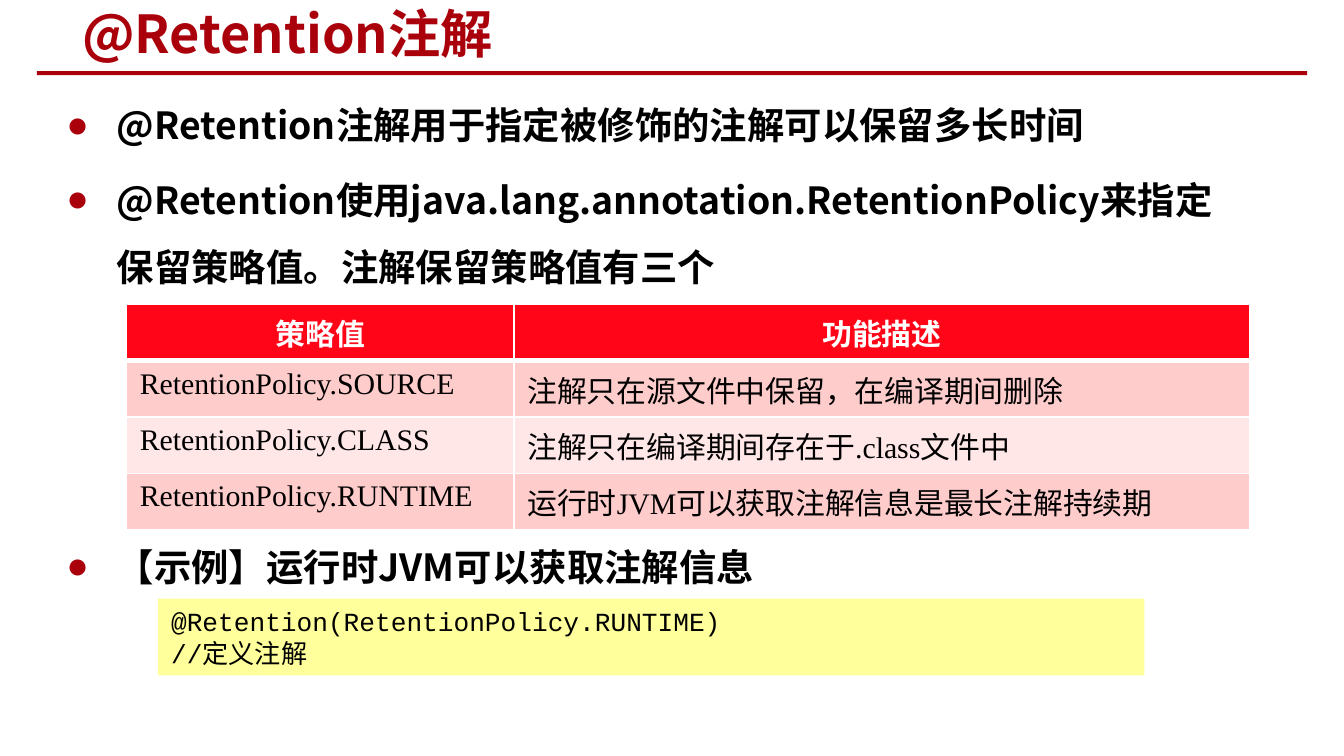
"""Build the slide that explains the @Retention annotation and its policies."""
import dataclasses

import lxml.etree
import pptx
import pptx.dml.color
import pptx.enum.shapes
import pptx.enum.text
import pptx.oxml.ns
import pptx.util

PX = 4572


@dataclasses.dataclass(frozen=True)
class Theme:
    accent: str = "AA000B"
    ink: str = "000000"
    paper: str = "FFFFFF"
    header: str = "FF0517"
    bands: tuple = ("FFCCCC", "FFE7E8")
    code_fill: str = "FFFF9B"
    heading_font: str = "Noto Sans CJK SC"
    header_font: str = "Calibri"
    cell_font: str = "Times New Roman"
    code_font: str = "Courier New"
    title_size: int = 28
    body_size: int = 20
    table_size: int = 16
    code_size: int = 14


class SlideBuilder:
    def __init__(self, slide, theme):
        self.slide = slide
        self.theme = theme

    def box(self, *lengths):
        return [pptx.util.Emu(length * PX) for length in lengths]

    def rgb(self, color):
        return pptx.dml.color.RGBColor.from_string(color)

    def child(self, parent, tag, **attributes):
        return lxml.etree.SubElement(parent, pptx.oxml.ns.qn(tag), attributes)

    def format_runs(self, frame, font, size, color, bold=False):
        for paragraph in frame.paragraphs:
            for run in paragraph.runs:
                run.font.name = font
                run.font.size = pptx.util.Pt(size)
                run.font.bold = bold
                run.font.color.rgb = self.rgb(color)
                self.child(run.font._element, "a:ea", typeface=self.theme.heading_font)

    def bar(self, left, top, width, height, color):
        bar = self.slide.shapes.add_shape(
            pptx.enum.shapes.MSO_SHAPE.RECTANGLE, *self.box(left, top, width, height))
        bar.shadow.inherit = False
        bar.fill.solid()
        bar.fill.fore_color.rgb = self.rgb(color)
        bar.line.fill.background()
        return bar

    def text(self, left, top, width, height, words, size, color):
        frame = self.slide.shapes.add_textbox(*self.box(left, top, width, height)).text_frame
        frame.word_wrap = True
        frame.text = words
        self.format_runs(frame, self.theme.heading_font, size, color, bold=True)
        return frame

    def title(self, left, top, width, height, words):
        frame = self.text(left, top, width, height, words,
                          self.theme.title_size, self.theme.accent)
        frame.vertical_anchor = pptx.enum.text.MSO_ANCHOR.MIDDLE

    def bullets(self, left, top, width, height, points):
        frame = self.text(left, top, width, height, "\n".join(points),
                          self.theme.body_size, self.theme.ink)
        for paragraph in frame.paragraphs:
            paragraph.line_spacing = 1.5
            paragraph.space_before = pptx.util.Pt(4)
            properties = paragraph._p.get_or_add_pPr()
            properties.set("marL", str(75 * PX))
            properties.set("indent", str(-75 * PX))
            bullet_color = self.child(properties, "a:buClr")
            self.child(bullet_color, "a:srgbClr", val=self.theme.accent)
            self.child(properties, "a:buFont", typeface=self.theme.cell_font)
            self.child(properties, "a:buChar", char="●")

    def rule_below(self, cell, points):
        properties = cell._tc.get_or_add_tcPr()
        border = self.child(properties, "a:lnB", w=str(pptx.util.Pt(points)))
        fill = self.child(border, "a:solidFill")
        self.child(fill, "a:srgbClr", val=self.theme.paper)

    def table(self, left, top, widths, row_height, rows):
        theme = self.theme
        table = self.slide.shapes.add_table(
            len(rows), len(widths),
            *self.box(left, top, sum(widths), row_height * len(rows))).table
        for column, width in zip(table.columns, self.box(*widths)):
            column.width = width
        for row_index, row in enumerate(rows):
            is_header = row_index == 0
            fill = theme.header if is_header else theme.bands[(row_index - 1) % 2]
            for column_index, words in enumerate(row):
                cell = table.cell(row_index, column_index)
                cell.text_frame.text = words
                if is_header:
                    self.rule_below(cell, 3)
                    cell.text_frame.paragraphs[0].alignment = pptx.enum.text.PP_ALIGN.CENTER
                cell.fill.solid()
                cell.fill.fore_color.rgb = self.rgb(fill)
                self.format_runs(
                    cell.text_frame,
                    theme.header_font if is_header else theme.cell_font,
                    theme.table_size,
                    theme.paper if is_header else theme.ink,
                    bold=is_header)

    def code(self, left, top, width, height, lines):
        frame = self.bar(left, top, width, height, self.theme.code_fill).text_frame
        frame.word_wrap = True
        frame.vertical_anchor = pptx.enum.text.MSO_ANCHOR.MIDDLE
        frame.text = "\n".join(lines)
        for paragraph in frame.paragraphs:
            paragraph.alignment = pptx.enum.text.PP_ALIGN.LEFT
        self.format_runs(frame, self.theme.code_font, self.theme.code_size, self.theme.ink)


def main():
    presentation = pptx.Presentation()
    presentation.slide_width = pptx.util.Emu(2000 * PX)
    presentation.slide_height = pptx.util.Emu(1125 * PX)
    theme = Theme()
    builder = SlideBuilder(
        presentation.slides.add_slide(presentation.slide_layouts[6]), theme)

    builder.bar(55, 106, 1890, 6, theme.accent)
    builder.title(103, 4, 1370, 90, "@Retention注解")
    builder.bullets(79, 109, 1796, 328, [
        "@Retention注解用于指定被修饰的注解可以保留多长时间",
        "@Retention使用java.lang.annotation.RetentionPolicy来指定保留策略值。注解保留策略值有三个",
    ])
    builder.table(188, 453, [577, 1095], 84, [
        ("策略值", "功能描述"),
        ("RetentionPolicy.SOURCE", "注解只在源文件中保留，在编译期间删除"),
        ("RetentionPolicy.CLASS", "注解只在编译期间存在于.class文件中"),
        ("RetentionPolicy.RUNTIME", "运行时JVM可以获取注解信息是最长注解持续期"),
    ])
    builder.bullets(79, 766, 1796, 120, ["【示例】运行时JVM可以获取注解信息"])
    builder.code(235, 891, 1468, 114, ["@Retention(RetentionPolicy.RUNTIME)", "//定义注解"])

    presentation.save("out.pptx")


if __name__ == "__main__":
    main()
